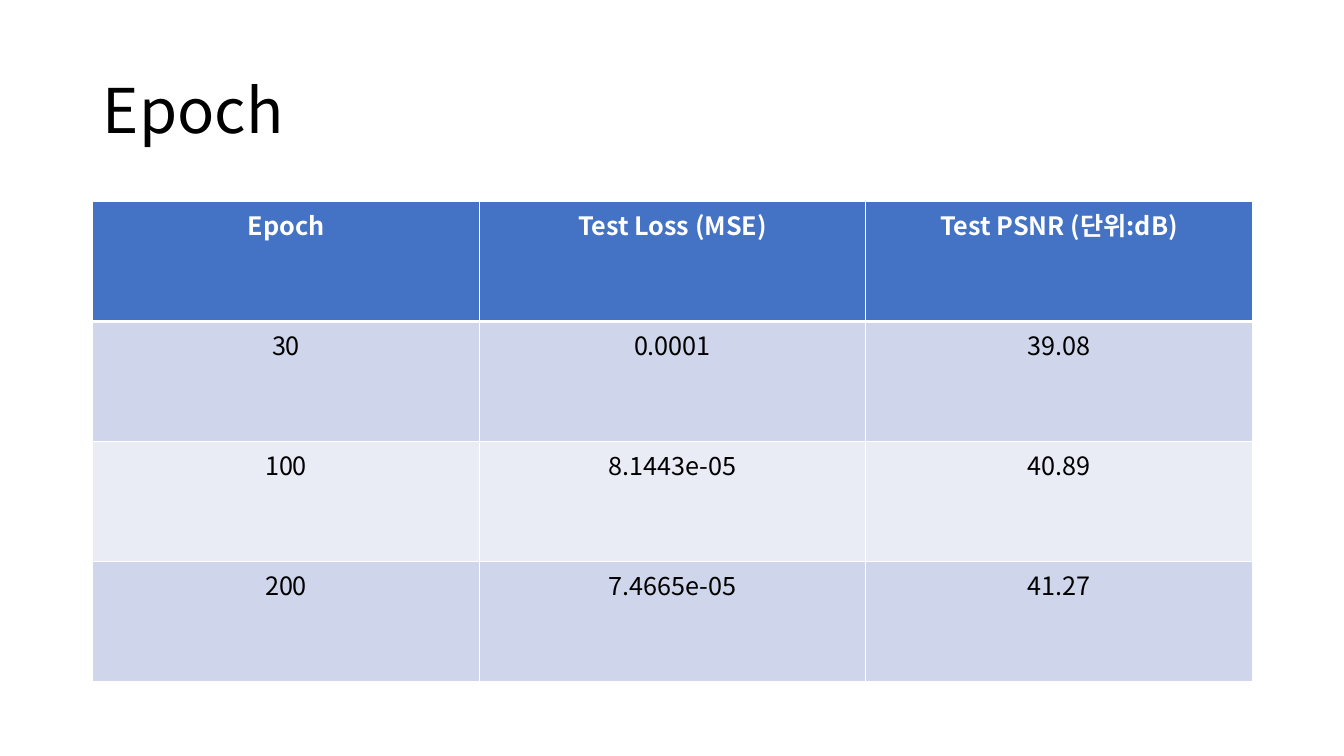
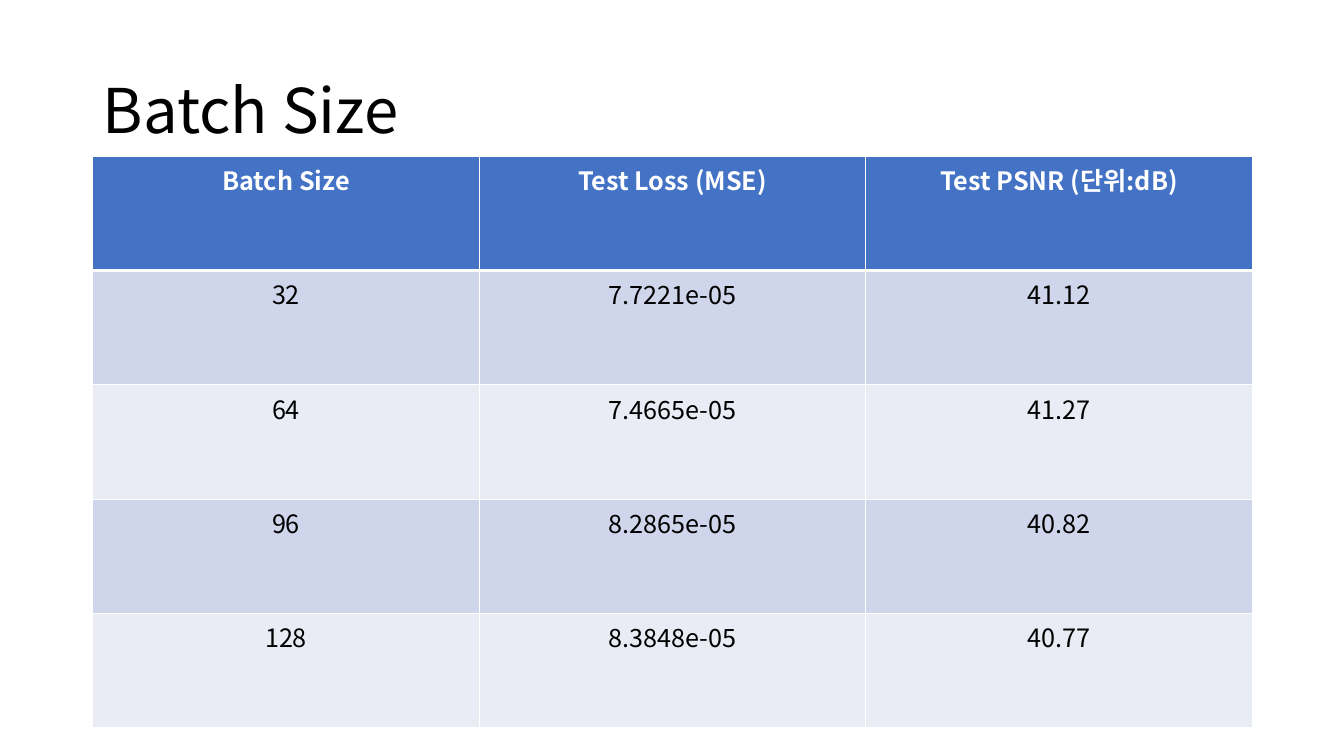
from lxml import etree
from pptx import Presentation
from pptx.dml.color import RGBColor
from pptx.enum.text import MSO_ANCHOR, MSO_AUTO_SIZE, PP_ALIGN
from pptx.oxml.ns import qn
from pptx.util import Inches, Pt

LEFT = PP_ALIGN.LEFT
CENTER = PP_ALIGN.CENTER
MIDDLE = MSO_ANCHOR.MIDDLE
NO_FIT = MSO_AUTO_SIZE.NONE

BLACK = RGBColor(0x00, 0x00, 0x00)
WHITE = RGBColor(0xFF, 0xFF, 0xFF)
BLUE = RGBColor(0x44, 0x72, 0xC4)
BANDS = (RGBColor(0xCF, 0xD5, 0xEA), RGBColor(0xE9, 0xEB, 0xF5))

FONT = "Noto Sans CJK KR"
MARGIN = 0.92
WIDTH = 11.5
TITLE_BOX = (MARGIN, 0.4, WIDTH, 1.45)
TITLE_ONLY = 5
METRICS = ("Test Loss (MSE)", "Test PSNR (단위:dB)")

EPOCHS = (
    ("30", "0.0001", "39.08"),
    ("100", "8.1443e-05", "40.89"),
    ("200", "7.4665e-05", "41.27"),
)
BATCHES = (
    ("32", "7.7221e-05", "41.12"),
    ("64", "7.4665e-05", "41.27"),
    ("96", "8.2865e-05", "40.82"),
    ("128", "8.3848e-05", "40.77"),
)


def write(frame, text, size=18, color=BLACK, bold=False, align=CENTER, space=None):
    para = frame.paragraphs[0]
    para.alignment = align
    para.line_spacing = space
    run = para.add_run()
    run.text = text
    font = run.font
    font.name = FONT
    font.size = Pt(size)
    font.bold = bold
    font.color.rgb = color
    etree.SubElement(run._r.get_or_add_rPr(), qn("a:ea"), typeface=FONT)


def border(cell, top=1, bottom=1):
    props = cell._tc.get_or_add_tcPr()
    for side, width in (("L", 1), ("R", 1), ("T", top), ("B", bottom)):
        line = etree.SubElement(props, qn(f"a:ln{side}"), w=str(Pt(width)))
        fill = etree.SubElement(line, qn("a:solidFill"))
        etree.SubElement(fill, qn("a:srgbClr"), val=str(WHITE))


def add_title(slide, text, box):
    title = slide.shapes.title
    title.left, title.top, title.width, title.height = map(Inches, box)
    frame = title.text_frame
    frame.auto_size = NO_FIT
    frame.vertical_anchor = MIDDLE
    write(frame, text, size=44, align=LEFT, space=0.9)


def add_grid(slide, rows, box):
    shape = slide.shapes.add_table(len(rows), len(rows[0]), *map(Inches, box))
    table = shape.table
    for r, row in enumerate(rows):
        head = r == 0
        for c, text in enumerate(row):
            cell = table.cell(r, c)
            border(cell, top=3 if r == 1 else 1, bottom=3 if head else 1)
            cell.fill.solid()
            cell.fill.fore_color.rgb = BLUE if head else BANDS[(r - 1) % 2]
            write(cell.text_frame, text, color=WHITE if head else BLACK, bold=head)


def add_page(deck, name, rows, top, height):
    slide = deck.slides.add_slide(deck.slide_layouts[TITLE_ONLY])
    add_title(slide, name, TITLE_BOX)
    add_grid(slide, ((name, *METRICS), *rows), (MARGIN, top, WIDTH, height))


def main():
    deck = Presentation()
    deck.slide_width = Inches(13.33)
    deck.slide_height = Inches(7.5)
    add_page(deck, "Epoch", EPOCHS, top=2, height=4.76)
    add_page(deck, "Batch Size", BATCHES, top=1.55, height=5.67)
    deck.save("out.pptx")


if __name__ == "__main__":
    main()
